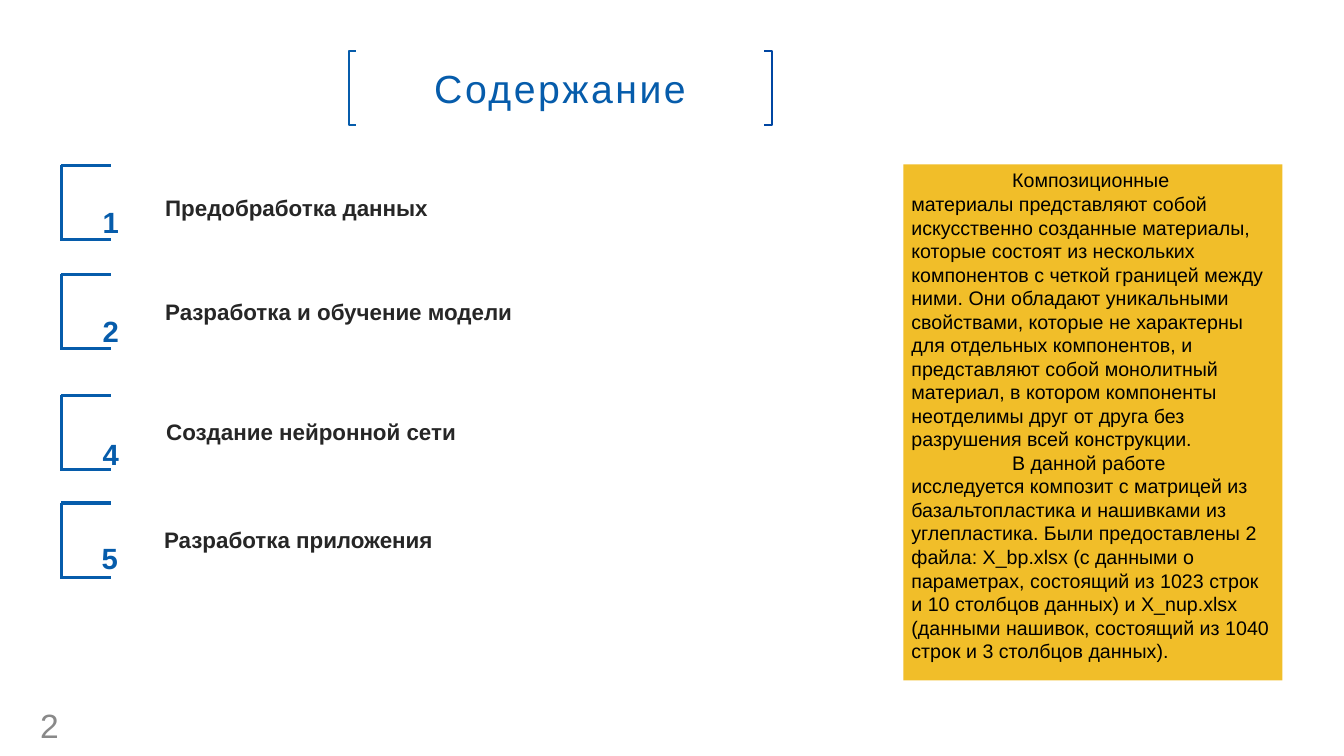
from lxml.etree import SubElement
from pptx import Presentation
from pptx.dml.color import RGBColor
from pptx.enum.shapes import MSO_CONNECTOR, MSO_SHAPE
from pptx.enum.text import MSO_ANCHOR, PP_ALIGN
from pptx.oxml.ns import qn
from pptx.util import Emu, Pt

PX = 9144  # 100 px to the inch
BLUE, DEEP_BLUE, YELLOW, WHITE = "065CAB", "0046A2", "F1BE29", "FFFFFF"

TITLE = "Содержание"
PAGE_NUMBER = "2"
# number, section, bracket top, number position, section position
SECTIONS = [
    ("1", "Предобработка данных", 164, (92, 192), (154, 188)),
    ("2", "Разработка и обучение модели", 272, (92, 300), (154, 291)),
    ("4", "Создание нейронной сети", 392, (92, 422), (155, 410)),
    ("5", "Разработка приложения", 499, (91, 525), (153, 517)),
]
ABOUT = [
    "Композиционные материалы представляют собой искусственно созданные "
    "материалы, которые состоят из нескольких компонентов с четкой границей "
    "между ними. Они обладают уникальными свойствами, которые не характерны "
    "для отдельных компонентов, и представляют собой монолитный материал, "
    "в котором компоненты неотделимы друг от друга без разрушения всей "
    "конструкции.",
    "В данной работе исследуется композит с матрицей из базальтопластика и "
    "нашивками из углепластика. Были предоставлены 2 файла: X_bp.xlsx "
    "(с данными о параметрах, состоящий из 1023 строк и 10 столбцов данных) "
    "и X_nup.xlsx (данными нашивок, состоящий из 1040 строк и 3 столбцов "
    "данных).",
]
TITLE_BOX = (346, 51, 419, 73)
ABOUT_BOX = (896, 163, 376, 512)
BRACKET_LEFT, BRACKET_RIGHT, BRACKET_HEIGHT = 61, 110, 74

prs = Presentation()
prs.slide_width, prs.slide_height = Emu(1333 * PX), Emu(750 * PX)
slide = prs.slides.add_slide(prs.slide_layouts[6])
shapes = slide.shapes


def px(*lengths):
    return [Emu(length * PX) for length in lengths]


def color(hex_string):
    return RGBColor.from_string(hex_string)


def write(shape, *paragraphs, size, ink, bold=False, align=PP_ALIGN.LEFT,
          anchor=MSO_ANCHOR.TOP, inset=(10, 5), indent=0, spacing=None,
          baseline=None, outline=None):
    frame = shape.text_frame
    frame.word_wrap = True
    frame.vertical_anchor = anchor
    frame.margin_left = frame.margin_right = Emu(inset[0] * PX)
    frame.margin_top = frame.margin_bottom = Emu(inset[1] * PX)
    for i, text in enumerate(paragraphs):
        paragraph = frame.add_paragraph() if i else frame.paragraphs[0]
        paragraph.alignment = align
        if indent:
            paragraph._p.get_or_add_pPr().set("indent", str(indent * PX))
        run = paragraph.add_run()
        run.text = text
        font = run.font
        font.name, font.size, font.bold = "Arial", Pt(size), bold
        font.color.rgb = color(ink)
        properties = run._r.get_or_add_rPr()
        if spacing:
            properties.set("spc", str(spacing))
        if baseline:
            properties.set("baseline", str(baseline))
        if outline:
            line = SubElement(properties, qn("a:ln"), w=str(Pt(0.75)))
            fill = SubElement(line, qn("a:solidFill"))
            SubElement(fill, qn("a:srgbClr"), val=outline)
            properties.insert(0, line)


def add_label(box, text, **text_format):
    write(shapes.add_textbox(*px(*box)), text, **text_format)


def add_panel(box, fill):
    panel = shapes.add_shape(MSO_SHAPE.RECTANGLE, *px(*box))
    panel.shadow.inherit = False
    panel.fill.solid()
    panel.fill.fore_color.rgb = color(fill)
    panel.line.fill.background()
    return panel


def add_title_bracket(tip, edge, ink):
    top, bottom = TITLE_BOX[1], TITLE_BOX[1] + TITLE_BOX[3]
    outline = shapes.build_freeform(tip, top, scale=PX)
    outline.add_line_segments([(edge, top), (edge, bottom), (tip, bottom)],
                              close=False)
    bracket = outline.convert_to_shape()
    bracket.shadow.inherit = False
    bracket.fill.background()
    bracket.line.color.rgb = color(ink)
    bracket.line.width = Pt(1.3)


def add_line(*ends):
    line = shapes.add_connector(MSO_CONNECTOR.STRAIGHT, *px(*ends))
    line.line.color.rgb = color(BLUE)
    line.line.width = Pt(2.25)
    SubElement(line._element.spPr, qn("a:effectLst"))


title = add_panel(TITLE_BOX, WHITE)
title.line.color.rgb = color(WHITE)
title.line.width = Pt(2)
write(title, TITLE, size=28, ink=BLUE, align=PP_ALIGN.CENTER,
      anchor=MSO_ANCHOR.MIDDLE, spacing=180, outline=BLUE)
title_left, title_right = TITLE_BOX[0], TITLE_BOX[0] + TITLE_BOX[2]
add_title_bracket(title_left + 7, title_left, BLUE)
add_title_bracket(title_right - 7, title_right + 1, DEEP_BLUE)

add_label((30, 704, 62, 30), PAGE_NUMBER, size=24, ink="898989",
          anchor=MSO_ANCHOR.MIDDLE)
write(add_panel(ABOUT_BOX, YELLOW), *ABOUT, size=14, ink="000000",
      inset=(8, 4), indent=100)

for number, section, top, number_at, section_at in SECTIONS:
    bottom = top + BRACKET_HEIGHT
    add_line(BRACKET_LEFT, top, BRACKET_LEFT, bottom + 1)
    for y in (top, bottom):
        add_line(BRACKET_LEFT, y, BRACKET_RIGHT, y)
    add_label((*section_at, 680, 37), section, size=16, ink="262626", bold=True)
    add_label((*number_at, 118, 50), number, size=36, ink=BLUE, bold=True,
              baseline=30000)

prs.save("out.pptx")
